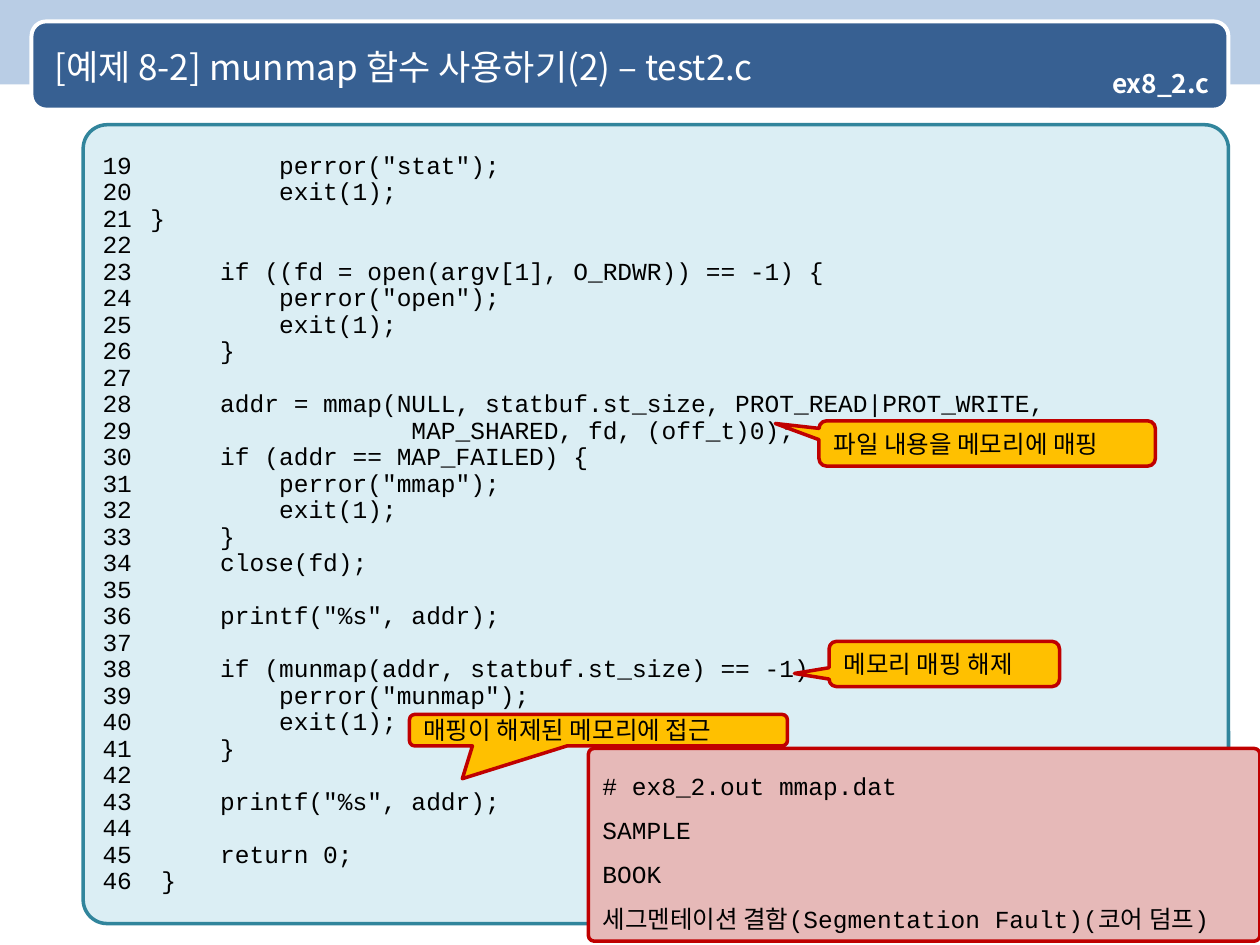
"""Build the slide on the munmap example, with its code listing, callouts and output."""
from dataclasses import dataclass, field
from typing import Any

from lxml.etree import SubElement
from pptx import Presentation
from pptx.dml.color import RGBColor
from pptx.enum.shapes import MSO_SHAPE
from pptx.enum.text import MSO_ANCHOR, PP_ALIGN
from pptx.oxml.ns import qn
from pptx.util import Inches, Pt

SANS = "Noto Sans CJK KR"
MONO = "Courier New"
NAVY, WHITE, BLACK = "376092", "FFFFFF", "000000"
AMBER, RED = "FFC000", "C00000"
FIRST_LINE = 19
AUTO_NUMBERED = (21, 22)
LISTING = """\
          perror("stat");
          exit(1);
}

      if ((fd = open(argv[1], O_RDWR)) == -1) {
          perror("open");
          exit(1);
      }

      addr = mmap(NULL, statbuf.st_size, PROT_READ|PROT_WRITE,
                   MAP_SHARED, fd, (off_t)0);
      if (addr == MAP_FAILED) {
          perror("mmap");
          exit(1);
      }
      close(fd);

      printf("%s", addr);

      if (munmap(addr, statbuf.st_size) == -1) {
          perror("munmap");
          exit(1);
      }

      printf("%s", addr);

      return 0;
  }""".split("\n")
OUTPUT = ["# ex8_2.out mmap.dat", "SAMPLE", "BOOK", "세그멘테이션 결함(Segmentation Fault)(코어 덤프)"]


@dataclass
class TextStyle:
    """Font and paragraph formats of a text."""
    font: str = SANS
    size: float = 14
    color: str = BLACK
    bold: bool = False
    paragraph: dict[str, Any] = field(default_factory=lambda: {"alignment": PP_ALIGN.LEFT})


@dataclass
class Box:
    """A filled preset shape with optional outline and text."""
    position: tuple[float, float, float, float]
    fill: str
    line: str | None = None
    line_width: float = 2
    kind: MSO_SHAPE = MSO_SHAPE.ROUNDED_RECTANGLE
    adjustments: tuple[float, ...] = ()
    lines: list[str] = field(default_factory=list)
    style: TextStyle = field(default_factory=TextStyle)
    inset: tuple[float, float] = (0.1, 0.05)


def rgb(color: str) -> RGBColor:
    """Return the colour for a hex string."""
    return RGBColor.from_string(color)


def apply_formats(target: Any, formats: dict[str, Any]) -> None:
    """Set each named attribute of the target."""
    for name, value in formats.items():
        setattr(target, name, value)


def place(shape: Any, position: tuple[float, float, float, float]) -> None:
    """Move and size a shape, in inches."""
    apply_formats(shape, dict(zip(("left", "top", "width", "height"), map(Inches, position))))


def write_text(frame: Any, lines: list[str], style: TextStyle, inset: tuple[float, float]) -> None:
    """Write one formatted paragraph for each line."""
    across, down = map(Inches, inset)
    apply_formats(frame, {
        "word_wrap": True, "vertical_anchor": MSO_ANCHOR.MIDDLE,
        "margin_left": across, "margin_right": across,
        "margin_top": down, "margin_bottom": down,
    })
    for index, line in enumerate(lines):
        paragraph = frame.add_paragraph() if index else frame.paragraphs[0]
        apply_formats(paragraph, style.paragraph)
        run = paragraph.add_run()
        run.text = line
        apply_formats(run.font, {"name": style.font, "size": Pt(style.size), "bold": style.bold})
        run.font.color.rgb = rgb(style.color)
        if style.font == SANS:
            SubElement(run.font._element, qn("a:ea"), typeface=SANS)


def draw_box(slide: Any, box: Box) -> Any:
    """Draw a box and return its shape."""
    shape = slide.shapes.add_shape(box.kind, *map(Inches, box.position))
    shape.shadow.inherit = False
    shape.fill.solid()
    shape.fill.fore_color.rgb = rgb(box.fill)
    if box.line:
        shape.line.color.rgb = rgb(box.line)
        shape.line.width = Pt(box.line_width)
    else:
        shape.line.fill.background()
    for index, value in enumerate(box.adjustments):
        shape.adjustments[index] = value
    write_text(shape.text_frame, box.lines, box.style, box.inset)
    return shape


def callout(position: tuple[float, float, float, float], tip: tuple[float, float], text: str) -> Box:
    """Describe an amber callout whose tip is relative to its centre."""
    return Box(position, AMBER, RED, kind=MSO_SHAPE.ROUNDED_RECTANGULAR_CALLOUT,
               adjustments=(*tip, 0.17), lines=[text])


def number_listing(frame: Any) -> None:
    """Give the listing its hanging indent and automatic numbers."""
    for number, paragraph in enumerate(frame.paragraphs, FIRST_LINE):
        properties = paragraph._p.get_or_add_pPr()
        properties.set("marL", str(Inches(0.38)))
        properties.set("indent", str(Inches(-0.38)))
        if number in AUTO_NUMBERED:
            SubElement(properties, qn("a:buFont"), typeface=MONO)
            SubElement(properties, qn("a:buAutoNum"), type="arabicPlain", startAt=str(AUTO_NUMBERED[0]))


def main() -> None:
    """Build and save the presentation."""
    presentation = Presentation()
    presentation.slide_width, presentation.slide_height = Inches(10), Inches(7.5)
    slide = presentation.slides.add_slide(presentation.slide_layouts[5])

    draw_box(slide, Box((0, 0, 10, 0.67), "B9CDE5", kind=MSO_SHAPE.RECTANGLE))
    banner = draw_box(slide, Box((0.25, 0.17, 9.5, 0.7), NAVY, WHITE, 2.25))
    title = slide.shapes.title
    banner.element.addnext(title.element)
    place(title, (0.33, 0.19, 9.25, 0.67))
    write_text(title.text_frame, ["[예제 8-2] munmap 함수 사용하기(2) – test2.c"],
               TextStyle(size=20, color=WHITE), (0.1, 0.05))

    code_style = TextStyle(MONO, paragraph={"alignment": PP_ALIGN.JUSTIFY, "line_spacing": 0.9})
    numbered = [(line or " ") if number in AUTO_NUMBERED else f"{number}{line}"
                for number, line in enumerate(LISTING, FIRST_LINE)]
    listing = draw_box(slide, Box((0.66, 0.99, 9.09, 6.34), "DBEEF4", "31859C",
                                  adjustments=(0.03,), lines=numbered, style=code_style))
    number_listing(listing.text_frame)

    file_style = TextStyle(size=15, color=WHITE, bold=True, paragraph={
        "alignment": PP_ALIGN.RIGHT, "line_spacing": 0.9, "space_after": Pt(6.5)})
    output_style = TextStyle(MONO, paragraph={"alignment": PP_ALIGN.JUSTIFY, "line_spacing": 1.5})
    for box in (
        Box((8.33, 0.5, 1.33, 0.35), NAVY, kind=MSO_SHAPE.RECTANGLE,
            lines=["ex8_2.c"], style=file_style, inset=(0.06, 0.06)),
        Box((4.67, 5.94, 5.33, 1.53), "E6B9B8", RED,
            adjustments=(0.03,), lines=OUTPUT, style=output_style),
        callout((6.5, 3.34, 2.67, 0.36), (-0.63, -0.44), "파일 내용을 메모리에 매핑"),
        callout((6.58, 5.09, 1.83, 0.36), (-0.65, 0.21), "메모리 매핑 해제"),
        callout((3.25, 5.67, 3, 0.25), (-0.36, 1.54), "매핑이 해제된 메모리에 접근"),
    ):
        draw_box(slide, box)
    presentation.save("out.pptx")


if __name__ == "__main__":
    main()
